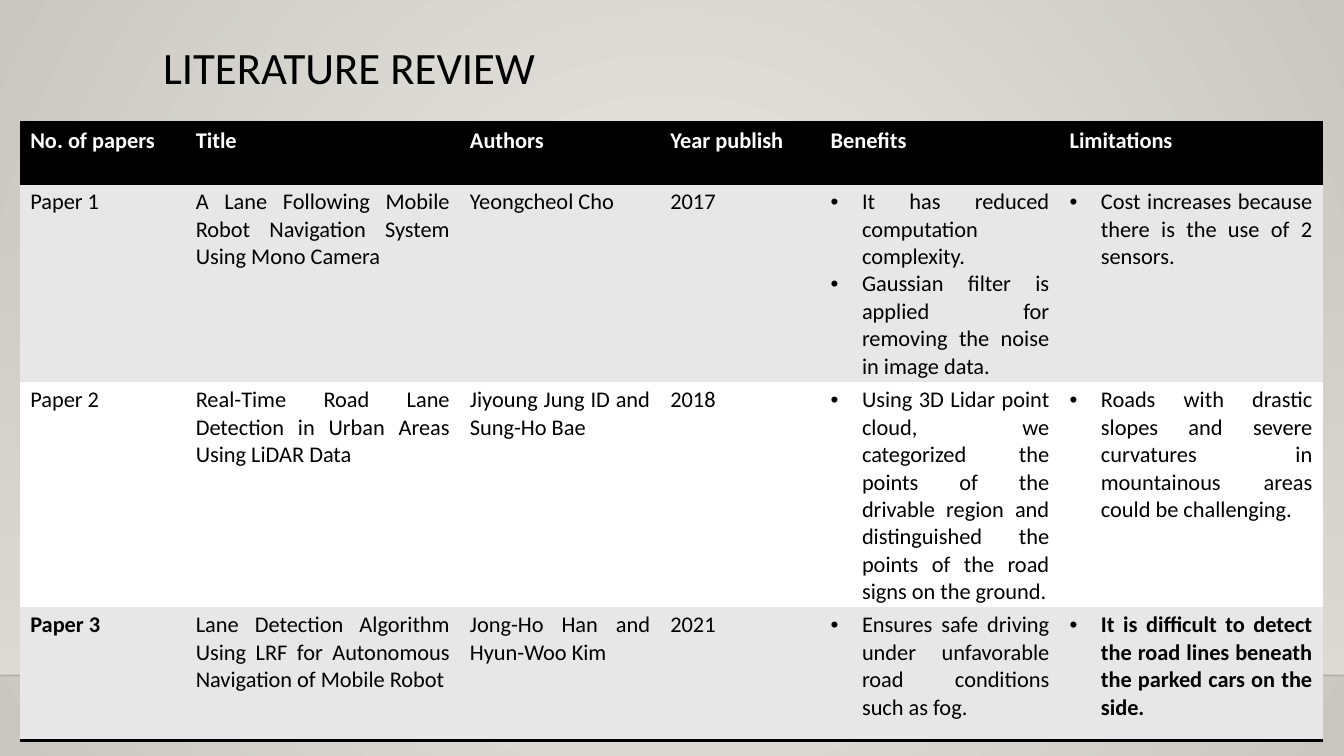
from lxml import etree
from pptx import Presentation
from pptx.dml.color import RGBColor
from pptx.enum.shapes import MSO_CONNECTOR, MSO_SHAPE
from pptx.enum.text import MSO_ANCHOR, PP_ALIGN
from pptx.oxml import parse_xml
from pptx.oxml.ns import nsdecls, qn
from pptx.util import Cm, Pt

RECTANGLE = MSO_SHAPE.RECTANGLE
STRAIGHT = MSO_CONNECTOR.STRAIGHT
TOP = MSO_ANCHOR.TOP
JUSTIFY = PP_ALIGN.JUSTIFY

# Content
TITLE = "LITERATURE REVIEW"
HEADINGS = ["No. of papers", "Title", "Authors", "Year publish", "Benefits", "Limitations"]
PAPERS = [
    ("Paper 1",
     "A Lane Following Mobile Robot Navigation System Using Mono Camera",
     "Yeongcheol Cho", "2017",
     ["It has reduced computation complexity.",
      "Gaussian filter is applied for removing the noise in image data."],
     ["Cost increases because there is the use of 2 sensors."]),
    ("Paper 2",
     "Real-Time Road Lane Detection in Urban Areas Using LiDAR Data",
     "Jiyoung Jung ID and Sung-Ho Bae", "2018",
     ["Using 3D Lidar point cloud, we categorized the points of the drivable region "
      "and distinguished the points of the road signs on the ground."],
     ["Roads with drastic slopes and severe curvatures in mountainous areas "
      "could be challenging."]),
    ("Paper 3",
     "Lane Detection Algorithm Using LRF for Autonomous Navigation of Mobile Robot",
     "Jong-Ho Han and Hyun-Woo Kim", "2021",
     ["Ensures safe driving under unfavorable road conditions such as fog."],
     ["It is difficult to detect the road lines beneath the parked cars on the side."]),
]
BOLD_CELLS = {(3, 0), (3, 5)}

# Layout in centimetres
PAGE_WIDTH, PAGE_HEIGHT = 33.87, 19.05
WALL_TOP, FLOOR_LINE = 5.61, 17.02
TABLE_LEFT, TABLE_TOP = 0.51, 3.07
COLUMN_WIDTHS = [4.17, 6.91, 5.05, 4.04, 6.02, 6.63]
ROW_HEIGHTS = [1.55, 4.7, 4.7, 3.38]
BULLET_INDENT = 0.79

# Style
FONT = "Calibri"
BLACK, WHITE, BAND = "000000", "FFFFFF", "E7E7E7"
PLAIN_TABLE = "{2D5ABB26-0587-4C30-8999-92F81FD0307C}"


def colour(code):
    return RGBColor.from_string(code)


def gradient(stops, direction):
    marks = "".join(
        f'<a:gs pos="{place * 1000}"><a:srgbClr val="{code}">'
        f'<a:alpha val="{opacity * 1000}"/></a:srgbClr></a:gs>'
        for place, code, opacity in stops)
    return f'<a:gradFill {nsdecls("a")}><a:gsLst>{marks}</a:gsLst>{direction}</a:gradFill>'


def add_span(para, text, size, code, bold=False):
    span = para.add_run()
    span.text = text
    span.font.name = FONT
    span.font.size = Pt(size)
    span.font.bold = bold
    span.font.color.rgb = colour(code)


def add_bullet(para):
    properties = para._p.get_or_add_pPr()
    properties.set("marL", str(Cm(BULLET_INDENT)))
    properties.set("indent", str(-Cm(BULLET_INDENT)))
    etree.SubElement(properties, qn("a:buFont"), typeface="Arial")
    etree.SubElement(properties, qn("a:buChar"), char="•")


def add_border(cell, side):
    border = parse_xml(
        f'<a:{side} {nsdecls("a")} w="{Pt(2)}"><a:solidFill>'
        f'<a:srgbClr val="{BLACK}"/></a:solidFill></a:{side}>')
    properties = cell._tc.get_or_add_tcPr()
    borders = [child for child in properties if child.tag in (qn("a:lnT"), qn("a:lnB"))]
    properties.insert(len(borders), border)


def fill_cell(cell, content, row, column):
    is_header = row == 0
    cell.fill.solid()
    cell.fill.fore_color.rgb = colour(BLACK if is_header else BAND if row % 2 else WHITE)
    bulleted = isinstance(content, list)
    for index, text in enumerate(content if bulleted else [content]):
        para = cell.text_frame.add_paragraph() if index else cell.text_frame.paragraphs[0]
        para.alignment = JUSTIFY
        if bulleted:
            add_bullet(para)
        add_span(para, text, 16, WHITE if is_header else BLACK,
                 is_header or (row, column) in BOLD_CELLS)
    if is_header:
        add_border(cell, "lnT")
    if is_header or row == len(PAPERS):
        add_border(cell, "lnB")


def add_backdrop(page):
    glow = gradient(
        [(0, "ECEAE7", 100), (100, "CAC7C1", 100)],
        '<a:path path="circle"><a:fillToRect l="50000" t="50000" r="50000" b="50000"/></a:path>')
    page.element.cSld.insert(0, parse_xml(
        f'<p:bg {nsdecls("p", "a")}><p:bgPr>{glow}<a:effectLst/></p:bgPr></p:bg>'))

    # Wall that fades in towards the floor
    wall = page.shapes.add_shape(
        RECTANGLE, 0, Cm(WALL_TOP), Cm(PAGE_WIDTH), Cm(FLOOR_LINE - WALL_TOP))
    wall.shadow.inherit = False
    wall.line.fill.background()
    fade = gradient([(0, "DFDBD5", 0), (100, "DFDBD5", 100)],
                    '<a:lin ang="5400000" scaled="0"/>')
    wall._element.spPr.find(qn("a:prstGeom")).addnext(parse_xml(fade))

    # Floor line
    floor = page.shapes.add_connector(
        STRAIGHT, 0, Cm(FLOOR_LINE), Cm(PAGE_WIDTH), Cm(FLOOR_LINE))
    floor.line.width = Pt(1)
    floor.line.color.rgb = colour("000001")
    shade = floor._element.spPr.find(".//" + qn("a:srgbClr"))
    etree.SubElement(shade, qn("a:alpha"), val="20000")
    etree.SubElement(floor._element.spPr, qn("a:effectLst"))


def add_title(page):
    box = page.shapes.add_textbox(Cm(3.86), Cm(1.02), Cm(26.67), Cm(1.63))
    frame = box.text_frame
    frame.word_wrap = True
    frame.vertical_anchor = TOP
    para = frame.paragraphs[0]
    para.line_spacing = 0.9
    add_span(para, TITLE, 32, BLACK)


def add_review_table(page):
    rows = [HEADINGS, *PAPERS]
    holder = page.shapes.add_table(
        len(rows), len(HEADINGS), Cm(TABLE_LEFT), Cm(TABLE_TOP),
        Cm(sum(COLUMN_WIDTHS)), Cm(sum(ROW_HEIGHTS)))
    table = holder.table
    table.horz_banding = False
    table._tbl.tblPr.find(qn("a:tableStyleId")).text = PLAIN_TABLE
    for column, width in zip(table.columns, COLUMN_WIDTHS):
        column.width = Cm(width)
    for row, height in zip(table.rows, ROW_HEIGHTS):
        row.height = Cm(height)
    for row, contents in enumerate(rows):
        for column, content in enumerate(contents):
            fill_cell(table.cell(row, column), content, row, column)


def main():
    deck = Presentation()
    deck.slide_width, deck.slide_height = Cm(PAGE_WIDTH), Cm(PAGE_HEIGHT)
    page = deck.slides.add_slide(deck.slide_layouts[6])
    add_backdrop(page)
    add_title(page)
    add_review_table(page)
    deck.save("out.pptx")


if __name__ == "__main__":
    main()
